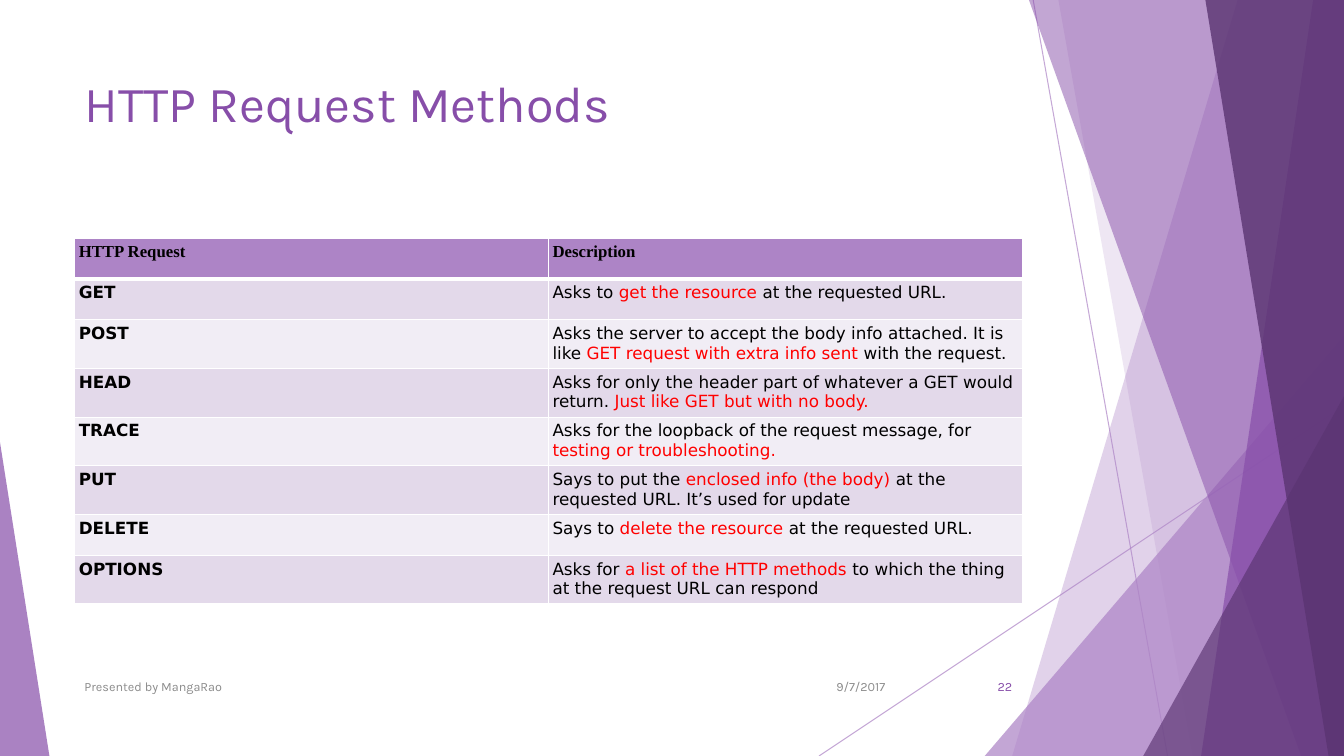
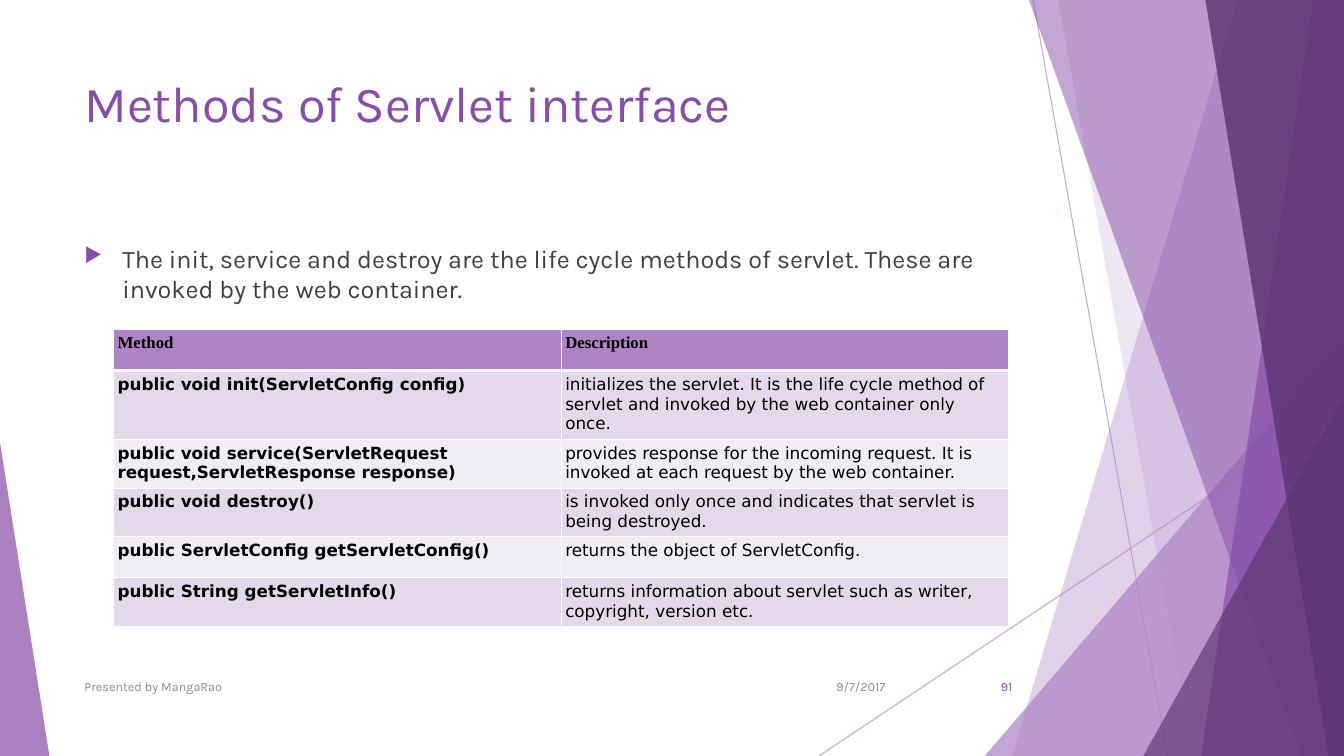
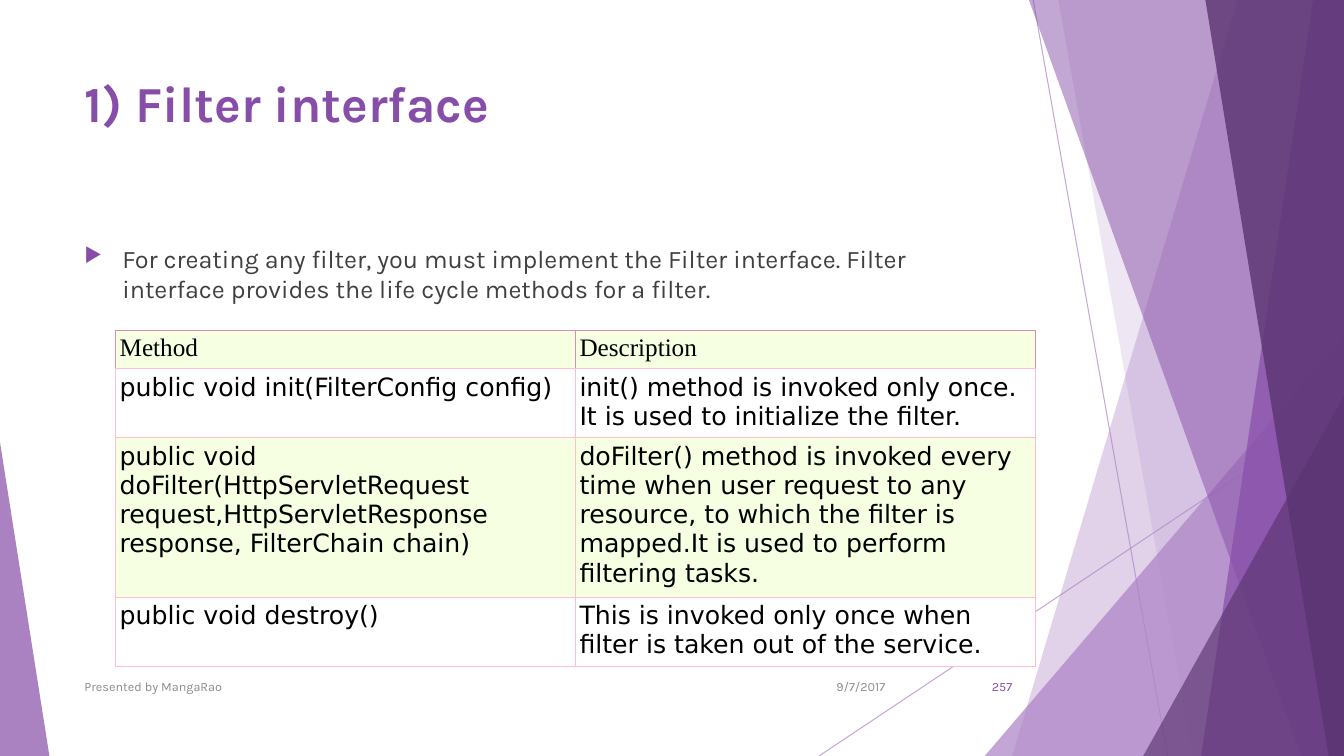
from dataclasses import dataclass

from lxml import etree
from pptx import Presentation
from pptx.dml.color import RGBColor
from pptx.enum import shapes, text
from pptx.oxml import ns
from pptx.util import Pt


@dataclass(frozen=True)
class Theme:
    width: float = 960
    height: float = 540
    margin: float = 53.3
    content_width: float = 676.8
    light: str = "AD84C6"
    accent: str = "874EA9"
    dark: str = "5A3471"
    body: str = "404040"
    muted: str = "8C8C8C"
    black: str = "000000"
    red: str = "FF0000"
    font: str = "Karla"
    header_font: str = "Times New Roman"
    cell_font: str = "DejaVu Sans"
    title_size: float = 36
    body_size: float = 18
    footer_size: float = 9


@dataclass(frozen=True)
class TableStyle:
    header: str
    bands: tuple
    border: str
    header_border: str
    border_width: float
    rule: str
    rule_width: float
    size: float
    bold: bool
    row_height: float


THEME = Theme()
PURPLE = TableStyle("AD84C6", ("E3D9EA", "F1EDF5"), "FFFFFF", "FFFFFF", 1,
                    "FFFFFF", 3, 12, True, 29.2)
GREEN = TableStyle("F6FFE1", ("FFFFFF", "F6FFE1"), "FFC0CB", "D88EB5", 0.6,
                   "FFC0CB", 0.6, 18, False, 25.5)


def add_element(parent, tag, **attributes):
    element = etree.SubElement(parent, ns.qn(tag))
    for name, value in attributes.items():
        element.set(name, str(value))
    return element


def set_opacity(shape, percent):
    color = next(shape.element.iter(ns.qn("a:srgbClr")))
    add_element(color, "a:alpha", val=percent * 1000)


def write(paragraph, content, font=THEME.font, size=THEME.body_size,
          color=THEME.body, bold=False, align=None, emphasis=THEME.red):
    if align is not None:
        paragraph.alignment = align
    for index, part in enumerate(content.split("*")):
        if part:
            run = paragraph.add_run()
            run.text = part
            run.font.name = font
            run.font.size = Pt(size)
            run.font.bold = bold
            run.font.color.rgb = RGBColor.from_string(emphasis if index % 2 else color)


class Deck:
    def __init__(self, theme):
        self.theme = theme
        self.presentation = Presentation()
        self.presentation.slide_width = Pt(theme.width)
        self.presentation.slide_height = Pt(theme.height)
        self.slide = None

    def add_slide(self, title, number, bold=False):
        theme = self.theme
        self.slide = self.presentation.slides.add_slide(self.presentation.slide_layouts[6])
        self.backdrop()
        self.text_box(title, theme.margin, 48, theme.content_width, 104,
                      size=theme.title_size, color=theme.accent, bold=bold)
        right = text.PP_ALIGN.RIGHT
        for content, left, width, color, align in (
            ("9/7/2017", 567.4, 72, theme.muted, right),
            ("Presented by MangaRao", theme.margin, 496, theme.muted, None),
            (str(number), 676.1, 54, theme.accent, right),
        ):
            self.text_box(content, left, 476, width, 28.8, anchor=text.MSO_ANCHOR.MIDDLE,
                          size=theme.footer_size, color=color, align=align)

    def backdrop(self):
        theme = self.theme
        self.line(738, 0, 834, theme.height)
        self.line(theme.width, 290, 585, theme.height)
        self.band(884, 723, theme.light, 36)
        self.band(756, 852, theme.light, 20)
        self.triangle(703.4, 240, 256.6, 1, theme.light, 72)
        self.band(735, 929.5, theme.accent, 50)
        self.band(938, 858, theme.accent, 70)
        self.band(861, 949, theme.dark, 80)
        self.triangle(816.6, 283, 143.4, 1, theme.dark, 66)
        self.triangle(0, 316, 35.3, 0, theme.accent, 70)

    def line(self, x1, y1, x2, y2):
        connector = self.slide.shapes.add_connector(
            shapes.MSO_CONNECTOR.STRAIGHT, Pt(x1), Pt(y1), Pt(x2), Pt(y2))
        connector.line.width = Pt(0.75)
        connector.line.color.rgb = RGBColor.from_string(self.theme.light)
        add_element(connector.element.spPr, "a:effectLst")
        set_opacity(connector, 70)

    def paint(self, shape, color, opacity):
        shape.shadow.inherit = False
        shape.fill.solid()
        shape.fill.fore_color.rgb = RGBColor.from_string(color)
        shape.line.fill.background()
        set_opacity(shape, opacity)

    def band(self, top_x, bottom_x, color, opacity):
        right, bottom = Pt(self.theme.width), Pt(self.theme.height)
        builder = self.slide.shapes.build_freeform(Pt(top_x), 0)
        builder.add_line_segments([(right, 0), (right, bottom), (Pt(bottom_x), bottom)])
        self.paint(builder.convert_to_shape(), color, opacity)

    def triangle(self, left, top, width, apex, color, opacity):
        shape = self.slide.shapes.add_shape(
            shapes.MSO_SHAPE.ISOSCELES_TRIANGLE,
            Pt(left), Pt(top), Pt(width), Pt(self.theme.height - top))
        shape.adjustments[0] = apex
        self.paint(shape, color, opacity)

    def text_box(self, content, left, top, width, height,
                 anchor=text.MSO_ANCHOR.TOP, **style):
        box = self.slide.shapes.add_textbox(Pt(left), Pt(top), Pt(width), Pt(height))
        frame = box.text_frame
        frame.word_wrap = True
        frame.vertical_anchor = anchor
        write(frame.paragraphs[0], content, **style)
        return frame.paragraphs[0]

    def bullet(self, content):
        theme = self.theme
        paragraph = self.text_box(content, theme.margin, 170, theme.content_width, 305)
        properties = paragraph._p.get_or_add_pPr()
        properties.set("marL", str(Pt(27)))
        properties.set("indent", str(-Pt(27)))
        add_element(add_element(properties, "a:buClr"), "a:srgbClr", val=theme.accent)
        add_element(properties, "a:buSzPct", val=80000)
        add_element(properties, "a:buChar", char="▶")

    def table(self, rows, left, top, width, style):
        theme = self.theme
        columns = len(rows[0])
        table = self.slide.shapes.add_table(
            len(rows), columns, Pt(left), Pt(top), Pt(width),
            Pt(style.row_height * len(rows))).table
        table.horz_banding = False
        for row_index, row in enumerate(rows):
            table.rows[row_index].height = Pt(style.row_height)
            is_header = row_index == 0
            fill = style.header if is_header else style.bands[(row_index - 1) % 2]
            for column_index, content in enumerate(row):
                cell = table.cell(row_index, column_index)
                self.cell_borders(cell, row_index, style)
                self.cell_fill(cell, fill)
                write(cell.text_frame.paragraphs[0], content,
                      font=theme.header_font if is_header else theme.cell_font,
                      size=style.size, color=theme.black,
                      bold=style.bold and (is_header or column_index == 0))

    def cell_fill(self, cell, color):
        cell.margin_left = cell.margin_right = Pt(3)
        cell.margin_top = cell.margin_bottom = Pt(3)
        cell.fill.solid()
        cell.fill.fore_color.rgb = RGBColor.from_string(color)

    def cell_borders(self, cell, row_index, style):
        color = style.header_border if row_index == 0 else style.border
        sides = {side: (color, style.border_width) for side in "LRTB"}
        if row_index < 2:
            sides["TB"[row_index == 0]] = (style.rule, style.rule_width)
        properties = cell._tc.get_or_add_tcPr()
        for side, (side_color, width) in sides.items():
            border = add_element(properties, f"a:ln{side}", w=Pt(width))
            add_element(add_element(border, "a:solidFill"), "a:srgbClr", val=side_color)


REQUEST_METHODS = [
    ("HTTP Request", "Description"),
    ("GET", "Asks to *get the resource *at the requested URL."),
    ("POST", "Asks the server to accept the body info attached. It is like "
             "*GET request with extra info sent *with the request."),
    ("HEAD", "Asks for only the header part of whatever a GET would return. "
             "*Just like GET but with no body.*"),
    ("TRACE", "Asks for the loopback of the request message, for "
              "*testing or troubleshooting.*"),
    ("PUT", "Says to put the *enclosed info (the body) *at the requested URL. "
            "It’s used for update"),
    ("DELETE", "Says to *delete the resource *at the requested URL."),
    ("OPTIONS", "Asks for *a list of the HTTP methods *to which the thing at the "
                "request URL can respond"),
]

SERVLET_METHODS = [
    ("Method", "Description"),
    ("public void init(ServletConfig config)",
     "initializes the servlet. It is the life cycle method of servlet and invoked "
     "by the web container only once."),
    ("public void service(ServletRequest request,ServletResponse response)",
     "provides response for the incoming request. It is invoked at each request "
     "by the web container."),
    ("public void destroy()",
     "is invoked only once and indicates that servlet is being destroyed."),
    ("public ServletConfig getServletConfig()", "returns the object of ServletConfig."),
    ("public String getServletInfo()",
     "returns information about servlet such as writer, copyright, version etc."),
]

FILTER_METHODS = [
    ("Method", "Description"),
    ("public void init(FilterConfig config)",
     "init() method is invoked only once. It is used to initialize the filter."),
    ("public void doFilter(HttpServletRequest request,HttpServletResponse response, "
     "FilterChain chain)",
     "doFilter() method is invoked every time when user request to any resource, "
     "to which the filter is mapped.It is used to perform filtering tasks."),
    ("public void destroy()",
     "This is invoked only once when filter is taken out of the service."),
]


def main():
    deck = Deck(THEME)

    deck.add_slide("HTTP Request Methods", 22)
    deck.table(REQUEST_METHODS, THEME.margin, 170, THEME.content_width, PURPLE)

    deck.add_slide("Methods of Servlet interface", 91)
    deck.bullet("The init, service and destroy are the life cycle methods of servlet. "
                "These are invoked by the web container.")
    deck.table(SERVLET_METHODS, 81, 235.5, 639.6, PURPLE)

    deck.add_slide("1) Filter interface", 257, bold=True)
    deck.bullet("For creating any filter, you must implement the Filter interface. "
                "Filter interface provides the life cycle methods for a filter.")
    deck.table(FILTER_METHODS, 82.5, 235.8, 657, GREEN)

    deck.presentation.save("out.pptx")


if __name__ == "__main__":
    main()
